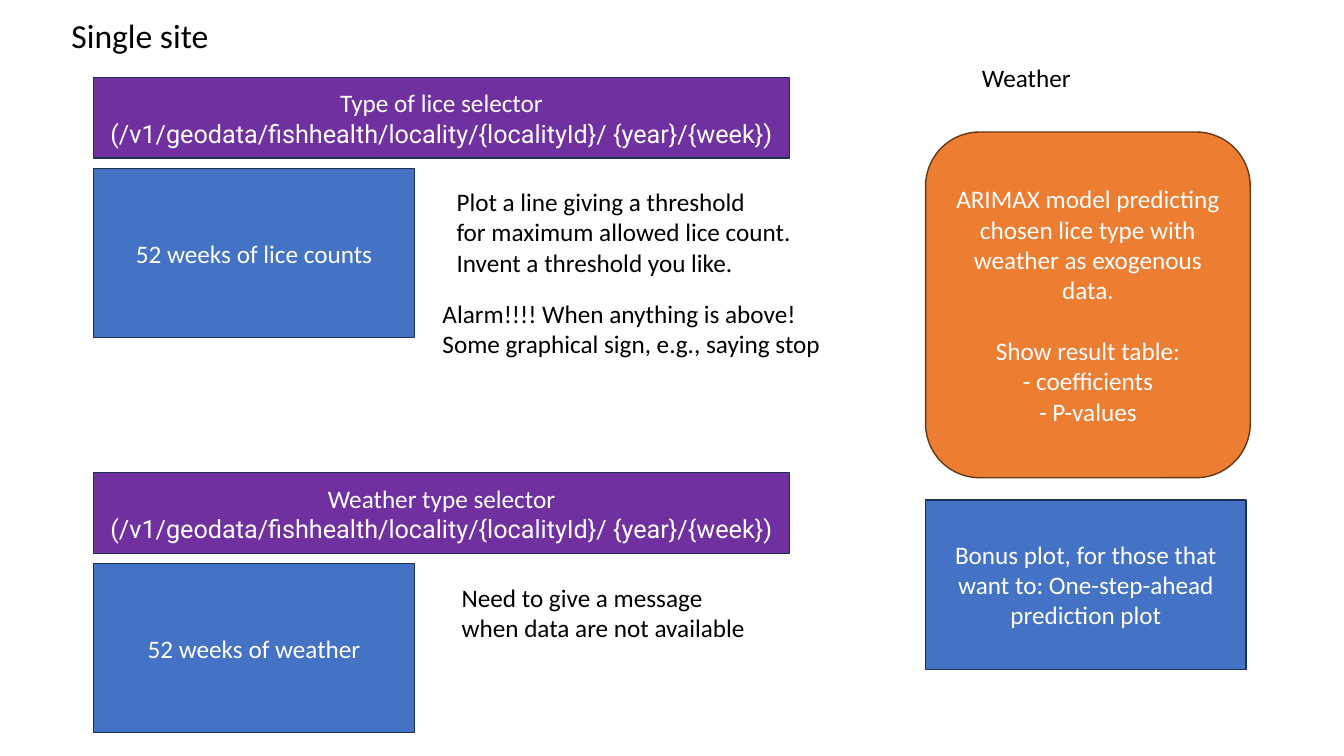
import dataclasses

import pptx
import pptx.dml.color
import pptx.enum.shapes
import pptx.enum.text
import pptx.util

Inches = pptx.util.Inches
Pt = pptx.util.Pt
Shape = pptx.enum.shapes.MSO_SHAPE


@dataclasses.dataclass(frozen=True)
class Theme:
    """Colours, fonts and type sizes of the slide."""
    plot: str = "4472C4"
    selector: str = "7030A0"
    model: str = "ED7D31"
    edge: str = "1E3256"
    model_edge: str = "683715"
    text: str = "000000"
    inverse: str = "FFFFFF"
    font: str = "Calibri"
    path_font: str = "Roboto"
    title: int = 24
    body: int = 18
    blank_line: int = 22


THEME = Theme()
ENDPOINT = "(/v1/geodata/fishhealth/locality/{localityId}/ {year}/{week})"
LEFT, RIGHT = 0.93, 9.18
PLOT_SIZE = (3.18, 1.68)
SELECTOR_SIZE = (6.9, 0.8)
PLOT_OFFSET = 0.9


def rgb(value):
    """Return a colour object for a hex string."""
    return pptx.dml.color.RGBColor.from_string(value)


def write(tf, lines, color, size=THEME.body, align=None):
    """Fill a text frame with one paragraph per line."""
    for i, line in enumerate(lines):
        p = tf.paragraphs[0] if i == 0 else tf.add_paragraph()
        p.text = line
        p.alignment = align
        p.font.name = THEME.font
        p.font.size = Pt(size)
        p.font.color.rgb = rgb(color)


def add_label(slide, x, y, w, h, lines, size=THEME.body):
    """Add unwrapped dark text that sizes its box."""
    tf = slide.shapes.add_textbox(Inches(x), Inches(y), Inches(w), Inches(h)).text_frame
    tf.word_wrap = False
    tf.auto_size = pptx.enum.text.MSO_AUTO_SIZE.SHAPE_TO_FIT_TEXT
    write(tf, lines, THEME.text, size)


def add_box(slide, x, y, size, lines, fill, edge=THEME.edge, kind=Shape.RECTANGLE):
    """Add a filled shape with centred light text and return its text frame."""
    w, h = size
    sp = slide.shapes.add_shape(kind, Inches(x), Inches(y), Inches(w), Inches(h))
    sp.shadow.inherit = False
    sp.fill.solid()
    sp.fill.fore_color.rgb = rgb(fill)
    sp.line.color.rgb = rgb(edge)
    sp.line.width = Pt(1)
    tf = sp.text_frame
    tf.word_wrap = True
    tf.vertical_anchor = pptx.enum.text.MSO_ANCHOR.MIDDLE
    write(tf, lines, THEME.inverse, align=pptx.enum.text.PP_ALIGN.CENTER)
    return tf


def add_section(slide, y, selector, plot):
    """Add a selector bar with its plot area below."""
    tf = add_box(slide, LEFT, y, SELECTOR_SIZE, [selector, ENDPOINT], THEME.selector)
    tf.paragraphs[1].font.name = THEME.path_font
    add_box(slide, LEFT, y + PLOT_OFFSET, PLOT_SIZE, [plot], THEME.plot)


def add_model(slide):
    """Add the model panel with its list of results."""
    lines = [
        "ARIMAX model predicting chosen lice type with weather as exogenous data.",
        "Show result table:",
        "- coefficients",
        "- P-values",
    ]
    tf = add_box(slide, RIGHT, 1.31, (3.22, 3.43), lines, THEME.model,
                 THEME.model_edge, Shape.ROUNDED_RECTANGLE)
    tf.paragraphs[1].space_before = Pt(THEME.blank_line)


def main():
    """Build the slide and save it."""
    prs = pptx.Presentation()
    prs.slide_width, prs.slide_height = Inches(13.33), Inches(7.5)
    slide = prs.slides.add_slide(prs.slide_layouts[6])

    add_label(slide, 0.61, 0.1, 1.57, 0.5, ["Single site"], THEME.title)
    add_section(slide, 0.77, "Type of lice selector", "52 weeks of lice counts")
    add_label(slide, 4.43, 1.8, 3.55, 1.01, [
        "Plot a line giving a threshold",
        "for maximum allowed lice count.",
        "Invent a threshold you like.",
    ])
    add_label(slide, 4.29, 2.91, 3.99, 0.71, [
        "Alarm!!!! When anything is above!",
        "Some graphical sign, e.g., saying stop",
    ])

    add_section(slide, 4.69, "Weather type selector", "52 weeks of weather")
    add_label(slide, 4.48, 5.73, 3.09, 0.71, [
        "Need to give a message",
        "when data are not available",
    ])

    add_label(slide, 9.64, 0.57, 1.09, 0.4, ["Weather"])
    add_model(slide)
    add_box(slide, RIGHT, 4.96, PLOT_SIZE, [
        "Bonus plot, for those that want to: One-step-ahead prediction plot",
    ], THEME.plot)

    prs.save("out.pptx")


if __name__ == "__main__":
    main()
